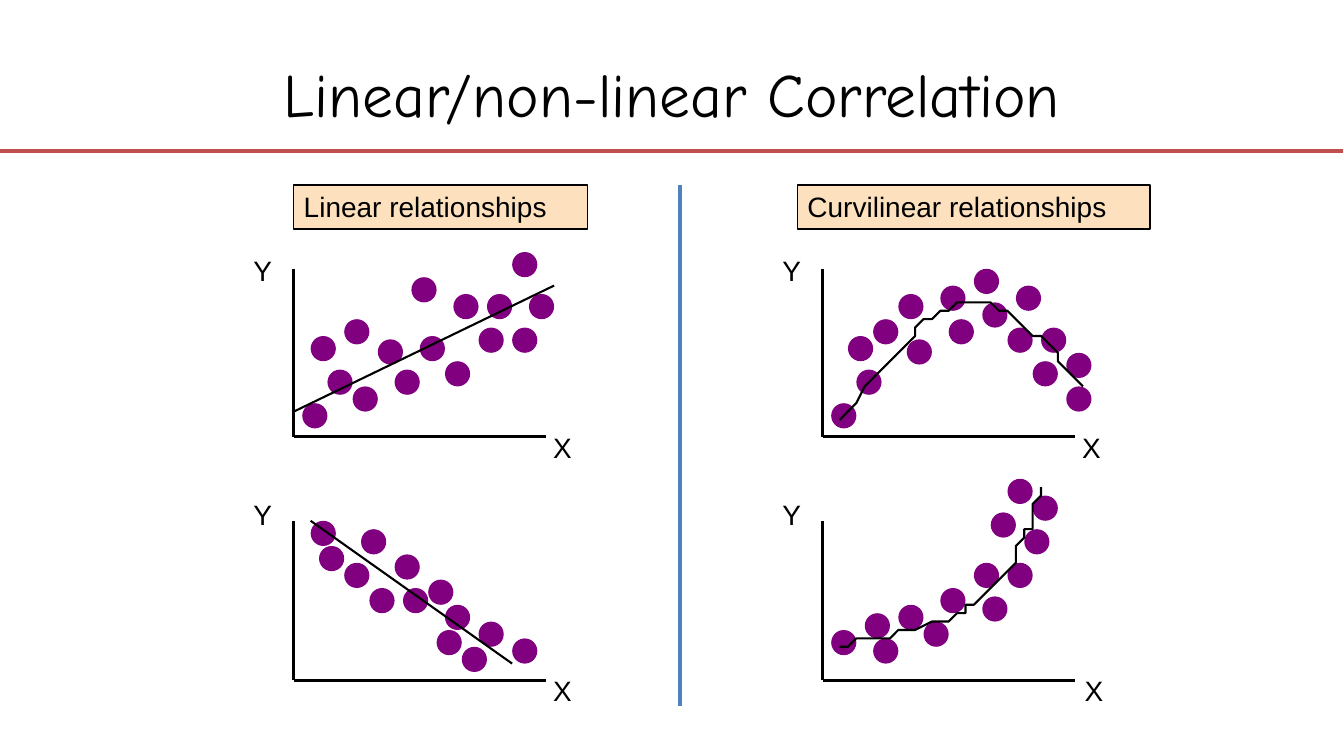
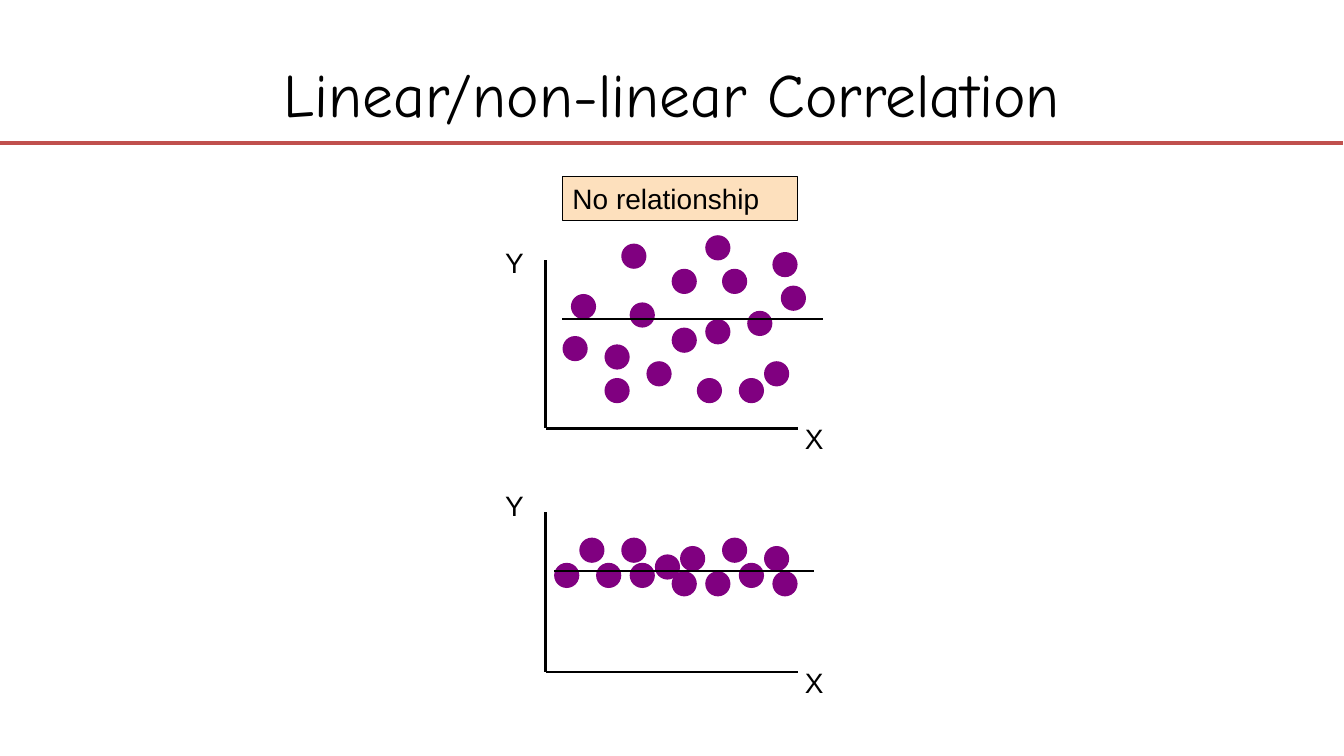
from lxml.etree import SubElement
from pptx import Presentation
from pptx.dml.color import RGBColor
from pptx.enum.shapes import MSO_CONNECTOR, MSO_SHAPE
from pptx.enum.text import MSO_ANCHOR, MSO_AUTO_SIZE, PP_ALIGN
from pptx.oxml.ns import qn
from pptx.util import Inches, Pt

BLACK = RGBColor(0x00, 0x00, 0x00)
PURPLE = RGBColor(0x80, 0x00, 0x80)
PEACH = RGBColor(0xFD, 0xE0, 0xBD)
RED = RGBColor(0xC0, 0x50, 0x4D)
BLUE = RGBColor(0x4F, 0x81, 0xBD)

TITLE_FONT = "Comic Neue"
BODY_FONT = "Arial"
TITLE = "Linear/non-linear Correlation"

CELLS_PER_INCH = 12
COLUMNS = 160
DOT_SIZE = 3
AXIS_LENGTH = 30
CAPTION_HEIGHT = 5.25
CURVE_STEPS = 16


def grid(cells):
    return Inches(cells / CELLS_PER_INCH)


def bezier(start, first_control, second_control, end, share):
    rest = 1 - share
    return tuple(
        rest**3 * a + 3 * rest**2 * share * b + 3 * rest * share**2 * c + share**3 * d
        for a, b, c, d in zip(start, first_control, second_control, end)
    )


class Deck:
    def __init__(self):
        self.presentation = Presentation()
        self.presentation.slide_width = Inches(13.34)
        self.presentation.slide_height = Inches(7.5)
        self.slide = None

    def add_slide(self, title, rule_row):
        self.slide = self.presentation.slides.add_slide(self.presentation.slide_layouts[5])
        shape = self.slide.shapes.title
        shape.left, shape.top = Inches(0.67), Inches(0.3)
        shape.width, shape.height = Inches(12), Inches(1.25)
        shape.text_frame.vertical_anchor = MSO_ANCHOR.MIDDLE
        self.add_text(shape.text_frame, title, TITLE_FONT, 44, PP_ALIGN.CENTER)
        self.line((0, rule_row), (COLUMNS, rule_row), RED, 3)

    def add_text(self, text_frame, text, font_name=BODY_FONT, size=20, alignment=PP_ALIGN.LEFT):
        paragraph = text_frame.paragraphs[0]
        paragraph.alignment = alignment
        run = paragraph.add_run()
        run.text = text
        run.font.name = font_name
        run.font.size = Pt(size)
        run.font.color.rgb = BLACK

    def line(self, start, end, color=BLACK, width=2.0):
        connector = self.slide.shapes.add_connector(
            MSO_CONNECTOR.STRAIGHT, *(grid(cells) for cells in (*start, *end))
        )
        connector.line.color.rgb = color
        connector.line.width = Pt(width)
        SubElement(connector._element.spPr, qn("a:effectLst"))

    def caption(self, column, row, columns, text):
        shape = self.slide.shapes.add_shape(
            MSO_SHAPE.RECTANGLE, grid(column), grid(row), grid(columns), grid(CAPTION_HEIGHT)
        )
        shape.shadow.inherit = False
        shape.fill.solid()
        shape.fill.fore_color.rgb = PEACH
        shape.line.color.rgb = BLACK
        shape.line.width = Pt(1)
        shape.text_frame.word_wrap = True
        shape.text_frame.vertical_anchor = MSO_ANCHOR.TOP
        self.add_text(shape.text_frame, text)

    def axis_label(self, column, row, text):
        shape = self.slide.shapes.add_textbox(
            grid(column), grid(row), Inches(0.38), grid(CAPTION_HEIGHT)
        )
        shape.text_frame.word_wrap = False
        shape.text_frame.auto_size = MSO_AUTO_SIZE.SHAPE_TO_FIT_TEXT
        self.add_text(shape.text_frame, text)

    def dot(self, column, row):
        shape = self.slide.shapes.add_shape(
            MSO_SHAPE.OVAL, grid(column), grid(row), grid(DOT_SIZE), grid(DOT_SIZE)
        )
        shape.shadow.inherit = False
        shape.fill.solid()
        shape.fill.fore_color.rgb = PURPLE
        shape.line.fill.background()

    def curve(self, points):
        vertices = [
            bezier(*points[index:index + 4], step / CURVE_STEPS)
            for index in range(0, len(points) - 1, 3)
            for step in range(1, CURVE_STEPS + 1)
        ]
        builder = self.slide.shapes.build_freeform(*points[0], scale=grid(1))
        builder.add_line_segments(vertices, close=False)
        shape = builder.convert_to_shape()
        shape.shadow.inherit = False
        shape.fill.background()
        shape.line.color.rgb = BLACK
        shape.line.width = Pt(1.5)

    def scatter(self, origin, axis_height, dots, trend, x_label_offset=29.7):
        column, row = origin

        def place(point):
            return column + point[0], row - point[1]

        self.line(place((0, axis_height)), origin)
        self.line(origin, place((AXIS_LENGTH, 0)))
        self.axis_label(*place((-6, 22.4)), "Y")
        self.axis_label(*place((x_label_offset, 1.4)), "X")
        for dot in dots:
            self.dot(*place(dot))
        trend_points = [place(point) for point in trend]
        if len(trend_points) == 2:
            self.line(*trend_points, width=1.5)
        else:
            self.curve(trend_points)

    def save(self):
        self.presentation.save("out.pptx")


RISING_DOTS = [
    (1, 4), (2, 12), (4, 8), (6, 14), (7, 6), (10, 11.6), (12, 8), (14, 19),
    (15, 12), (18, 9), (19, 17), (22, 13), (23, 17), (26, 13), (26, 22), (28, 17),
]
FALLING_DOTS = [
    (2, 19), (3, 16), (6, 14), (8, 18), (9, 11), (12, 15), (13, 11),
    (16, 12), (17, 6), (18, 9), (20, 4), (22, 7), (26, 5),
]
ARCHED_DOTS = [
    (1, 4), (3, 12), (4, 8), (6, 14), (9, 17), (10, 11.6), (14, 18), (15, 14),
    (18, 20), (19, 16), (22, 13), (23, 18), (25, 9), (26, 13), (29, 10), (29, 6),
]
STEEPENING_DOTS = [
    (1, 6), (5, 8), (6, 5), (9, 9), (12, 7), (14, 11), (18, 14),
    (19, 10), (20, 20), (22, 14), (22, 24), (24, 18), (25, 22),
]
SCATTERED_DOTS = [
    (2, 11), (3, 16), (7, 6), (7, 10), (9, 22), (10, 15), (12, 8), (15, 12), (15, 19),
    (18, 6), (19, 13), (19, 23), (21, 19), (23, 6), (24, 14), (26, 8), (27, 21), (28, 17),
]
FLAT_DOTS = [
    (1, 13), (4, 16), (6, 13), (9, 16), (10, 13), (13, 14), (15, 12),
    (16, 15), (19, 12), (21, 16), (23, 13), (26, 15), (27, 12),
]
ARCH = [(2, 2), (7.1, 8.7), (12.2, 15.3), (17, 16), (21.9, 16.7), (26.4, 11.3), (31, 6)]
STEEPENING = [(2, 4), (8.6, 5.4), (15, 6.8), (19, 10), (23, 13.2), (24.5, 18.1), (26, 23)]


def main():
    deck = Deck()

    deck.add_slide(TITLE, rule_row=18)
    deck.caption(35, 22, 35, "Linear relationships")
    deck.caption(95, 22, 42, "Curvilinear relationships")
    deck.line((81, 22), (81, 84), BLUE, 2.25)
    deck.scatter((35, 52), 20, RISING_DOTS, [(0, 3), (31, 18)])
    deck.scatter((35, 81), 19, FALLING_DOTS, [(2, 19), (26, 2)])
    deck.scatter((98, 52), 20, ARCHED_DOTS, ARCH)
    deck.scatter((98, 81), 19, STEEPENING_DOTS, STEEPENING, x_label_offset=30)

    deck.add_slide(TITLE, rule_row=17)
    deck.caption(67, 21, 28, "No relationship")
    deck.scatter((65, 51), 20, SCATTERED_DOTS, [(2, 13), (33, 13)])
    deck.scatter((65, 80), 19, FLAT_DOTS, [(1, 12), (32, 12)])

    deck.save()


if __name__ == "__main__":
    main()
